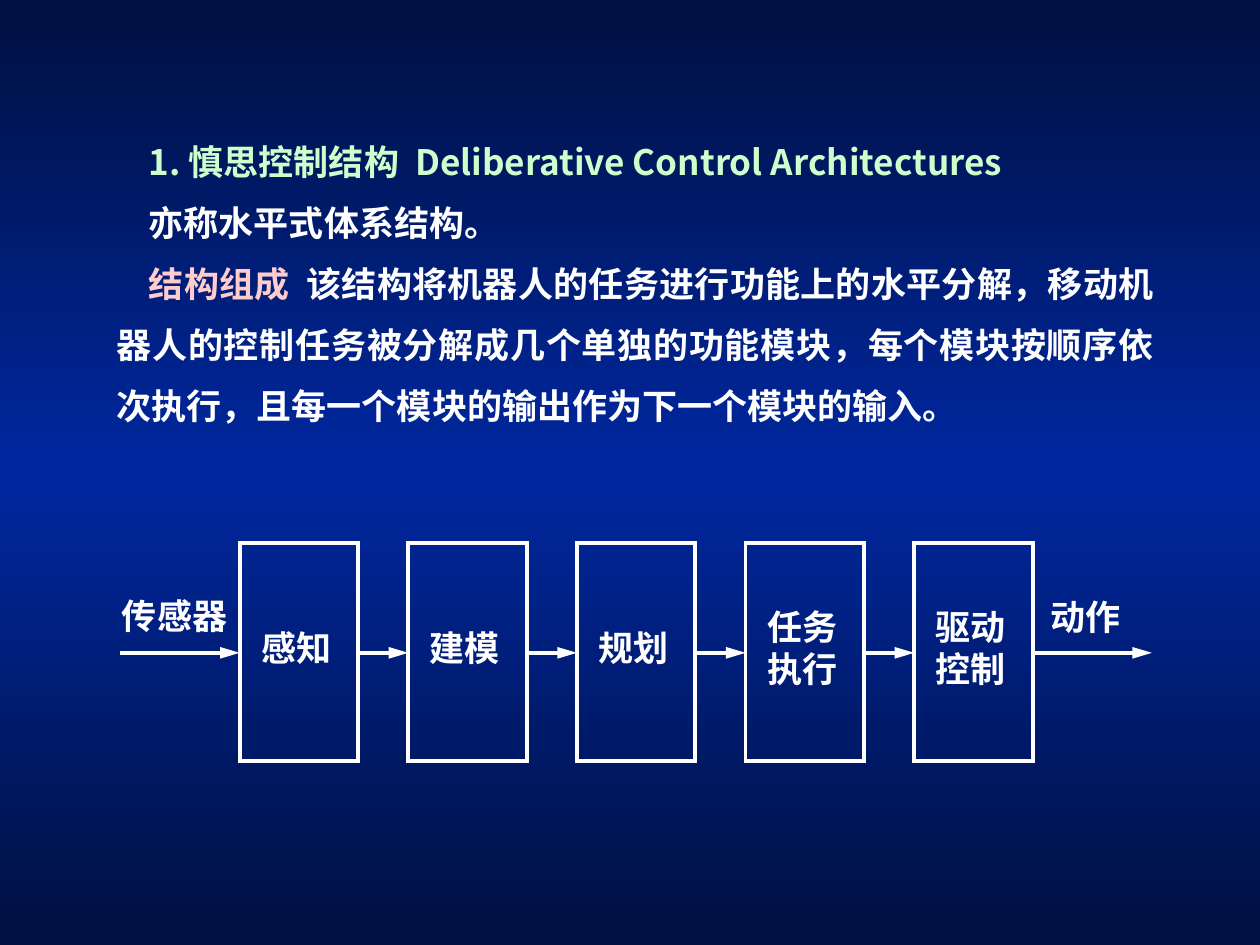
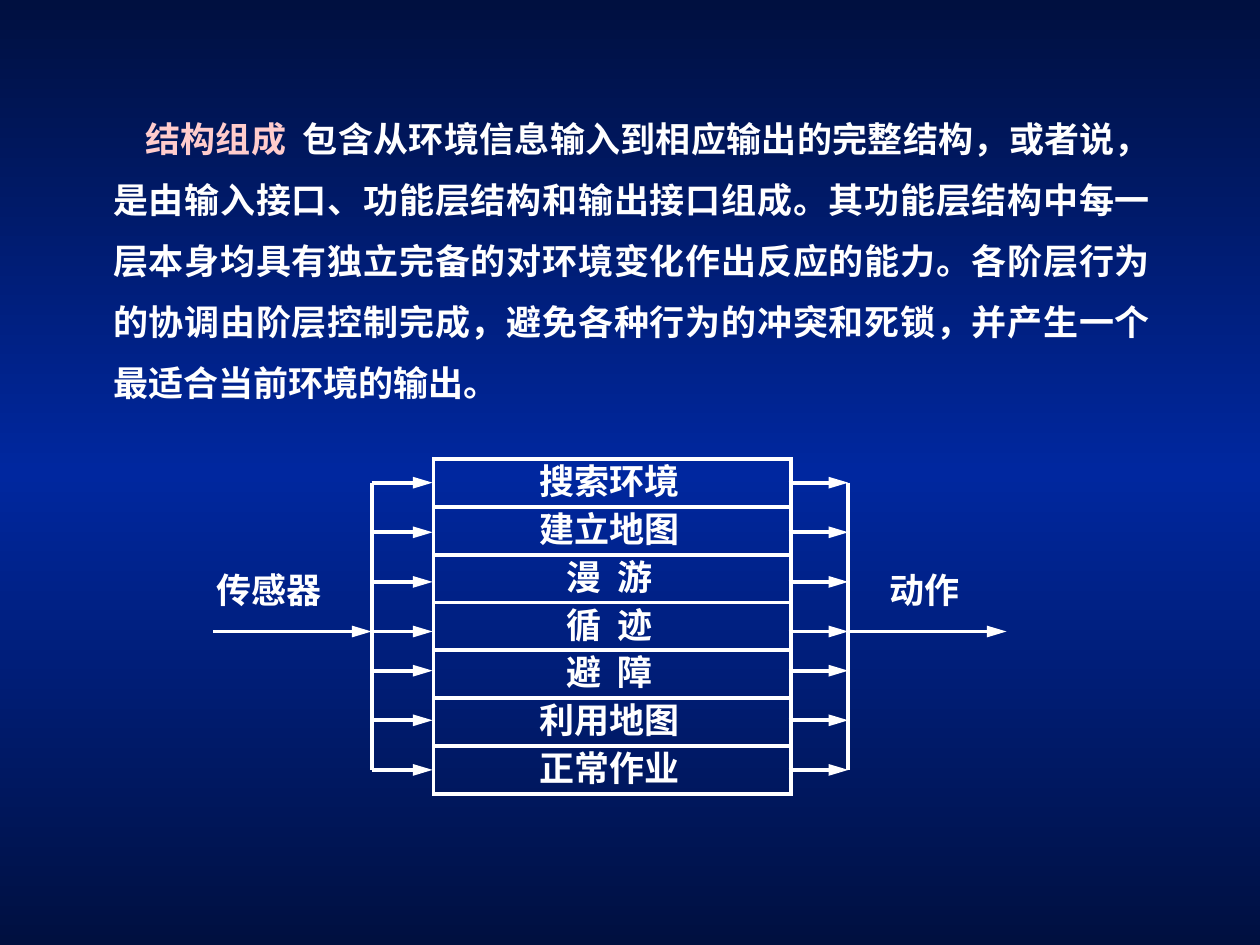
"""Builds two slides on robot control architectures."""
from copy import deepcopy
from dataclasses import dataclass

from lxml import etree
from pptx import Presentation
from pptx.dml.color import RGBColor
from pptx.enum.shapes import MSO_CONNECTOR, MSO_SHAPE
from pptx.enum.text import MSO_ANCHOR, MSO_AUTO_SIZE, PP_ALIGN
from pptx.oxml.ns import qn
from pptx.util import Cm, Pt

RECT = MSO_SHAPE.RECTANGLE
LINE = MSO_CONNECTOR.STRAIGHT
MIDDLE = MSO_ANCHOR.MIDDLE
FIT = MSO_AUTO_SIZE.SHAPE_TO_FIT_TEXT
CENTER = PP_ALIGN.CENTER
JUSTIFY = PP_ALIGN.JUSTIFY


@dataclass(frozen=True)
class Theme:
    """Holds the colours, type and line sizes of the deck."""
    white: RGBColor = RGBColor(0xFF, 0xFF, 0xFF)
    green: RGBColor = RGBColor(0xCC, 0xFF, 0xCC)
    pink: RGBColor = RGBColor(0xFF, 0xCC, 0xCC)
    dark: RGBColor = RGBColor(0x00, 0x10, 0x40)
    blue: RGBColor = RGBColor(0x00, 0x27, 0x9F)
    font: str = "Noto Sans CJK SC"
    size: Pt = Pt(20)
    stroke: Pt = Pt(2.25)
    lead: float = 1.45
    indent: Cm = Cm(0.65)
    gap: int = 450


THEME = Theme()
GAP = (" ", THEME.white)


def paint_back(master):
    """Give the master its dark-blue-dark gradient."""
    fill = master.background.fill
    fill.gradient()
    fill.gradient_angle = 270
    stops = master.element.find(".//" + qn("a:gsLst"))
    stops.insert(1, deepcopy(stops[0]))
    looks = ((0, THEME.dark), (0.5, THEME.blue), (1, THEME.dark))
    for stop, (place, color) in zip(fill.gradient_stops, looks):
        stop.position = place
        stop.color.rgb = color


def add_run(para, text, color):
    """Add one styled run, widening a lone space into a gap."""
    run = para.add_run()
    run.text = text
    font = run.font
    font.name, font.size, font.bold = THEME.font, THEME.size, True
    font.color.rgb = color
    props = run.font._element
    etree.SubElement(props, qn("a:ea")).set("typeface", THEME.font)
    if text == " ":
        props.set("spc", str(THEME.gap))


def fill_text(frame, paras, align):
    """Write paragraphs, each a list of text and colour pairs."""
    for i, runs in enumerate(paras):
        para = frame.add_paragraph() if i else frame.paragraphs[0]
        para.alignment = align
        for text, color in runs:
            add_run(para, text, color)


def add_body(slide, left, top, paras):
    """Add the justified body text with indented first lines."""
    box = slide.shapes.add_textbox(Cm(left), Cm(top), Cm(21.41), Cm(6.4))
    frame = box.text_frame
    frame.word_wrap = True
    fill_text(frame, paras, JUSTIFY)
    for para in frame.paragraphs:
        para.line_spacing = THEME.lead
        para._p.get_or_add_pPr().set("indent", str(THEME.indent))


def add_label(slide, left, top, width, text):
    """Add a one-line label above an arrow."""
    box = slide.shapes.add_textbox(Cm(left), Cm(top), Cm(width), Cm(1.12))
    frame = box.text_frame
    frame.word_wrap = True
    frame.auto_size = FIT
    fill_text(frame, [[(text, THEME.white)]], JUSTIFY)


def add_box(slide, left, top, width, height, lines, lift):
    """Add an outlined block with its centred name."""
    box = slide.shapes.add_shape(RECT, Cm(left), Cm(top), Cm(width), Cm(height))
    box.shadow.inherit = False
    box.fill.background()
    box.line.color.rgb = THEME.white
    box.line.width = THEME.stroke
    edge = box._element.spPr.find(qn("a:ln"))
    etree.SubElement(edge, qn("a:miter")).set("lim", "800000")
    frame = box.text_frame
    frame.margin_left = frame.margin_top = 0
    frame.margin_right, frame.margin_bottom = Cm(0.1), Cm(lift)
    frame.vertical_anchor = MIDDLE
    fill_text(frame, lines, CENTER)


def add_line(slide, x1, y1, x2, y2, head=True):
    """Add a white line, with an arrowhead unless told otherwise."""
    line = slide.shapes.add_connector(LINE, Cm(x1), Cm(y1), Cm(x2), Cm(y2))
    line.line.color.rgb = THEME.white
    line.line.width = THEME.stroke
    props = line._element.spPr
    if head:
        tail = etree.SubElement(props.find(qn("a:ln")), qn("a:tailEnd"))
        for key, value in (("type", "triangle"), ("w", "med"), ("len", "lg")):
            tail.set(key, value)
    etree.SubElement(props, qn("a:effectLst"))


def draw_chain(slide):
    """Draw the five modules in a row, joined by arrows."""
    steps = (["感知"], ["建模"], ["规划"], ["任务", "执行"], ["驱动", "控制"])
    first, pitch, width, axis = 4.83, 3.4, 2.39, 13.16
    start = 2.41
    for i, names in enumerate(steps):
        left = first + i * pitch
        lines = [[(name, THEME.white)] for name in names]
        add_box(slide, left, 10.95, width, 4.39, lines, 0.2)
        add_line(slide, start, axis, left, axis)
        start = left + width
    add_line(slide, start, axis, 23.22, axis)
    add_label(slide, 2.21, 11.86, 2.8, "传感器")
    add_label(slide, 20.93, 11.89, 2.2, "动作")


def draw_layers(slide):
    """Draw the stacked layers between the input and output rails."""
    layers = (["搜索环境"], ["建立地图"], ["漫", "游"], ["循", "迹"],
              ["避", "障"], ["利用地图"], ["正常作业"])
    height = 6.76 / len(layers)
    rail_in, rail_out = 7.49, 17.1
    rows = [9.73 + i - (0.21 if i > 3 else 0) for i in range(len(layers))]
    for i, (names, row) in enumerate(zip(layers, rows)):
        runs = [(names[0], THEME.white)]
        for name in names[1:]:
            runs += [GAP, (name, THEME.white)]
        add_box(slide, 8.74, 9.25 + i * height, 7.21, height, [runs], 0.1)
        add_line(slide, rail_in, row, 8.72, row)
        add_line(slide, 15.9, row, rail_out, row)
    for rail in (rail_in, rail_out):
        add_line(slide, rail, rows[0], rail, rows[-1], head=False)
    axis = rows[3]
    add_line(slide, 4.3, axis, rail_in, axis)
    add_line(slide, rail_out, axis, 20.29, axis)
    add_label(slide, 4.11, 11.33, 2.8, "传感器")
    add_label(slide, 17.68, 11.33, 2.2, "动作")


def main():
    """Build and save the deck."""
    deck = Presentation()
    deck.slide_width, deck.slide_height = Cm(25.4), Cm(19.05)
    paint_back(deck.slide_master)
    blank = deck.slide_layouts[6]
    topic = ("结构组成", THEME.pink)

    chain = deck.slides.add_slide(blank)
    add_body(chain, 2.1, 2.33, [
        [("1. 慎思控制结构", THEME.green), GAP,
         ("Deliberative Control Architectures", THEME.green)],
        [("亦称水平式体系结构。", THEME.white)],
        [topic, GAP,
         ("该结构将机器人的任务进行功能上的水平分解，移动机器人的控制任务"
          "被分解成几个单独的功能模块，每个模块按顺序依次执行，且每一个模块"
          "的输出作为下一个模块的输入。", THEME.white)],
    ])
    draw_chain(chain)

    layers = deck.slides.add_slide(blank)
    add_body(layers, 2.03, 1.87, [
        [topic, GAP,
         ("包含从环境信息输入到相应输出的完整结构，或者说，是由输入接口、"
          "功能层结构和输出接口组成。其功能层结构中每一层本身均具有独立完备"
          "的对环境变化作出反应的能力。各阶层行为的协调由阶层控制完成，避免"
          "各种行为的冲突和死锁，并产生一个最适合当前环境的输出。", THEME.white)],
    ])
    draw_layers(layers)
    deck.save("out.pptx")


if __name__ == "__main__":
    main()
